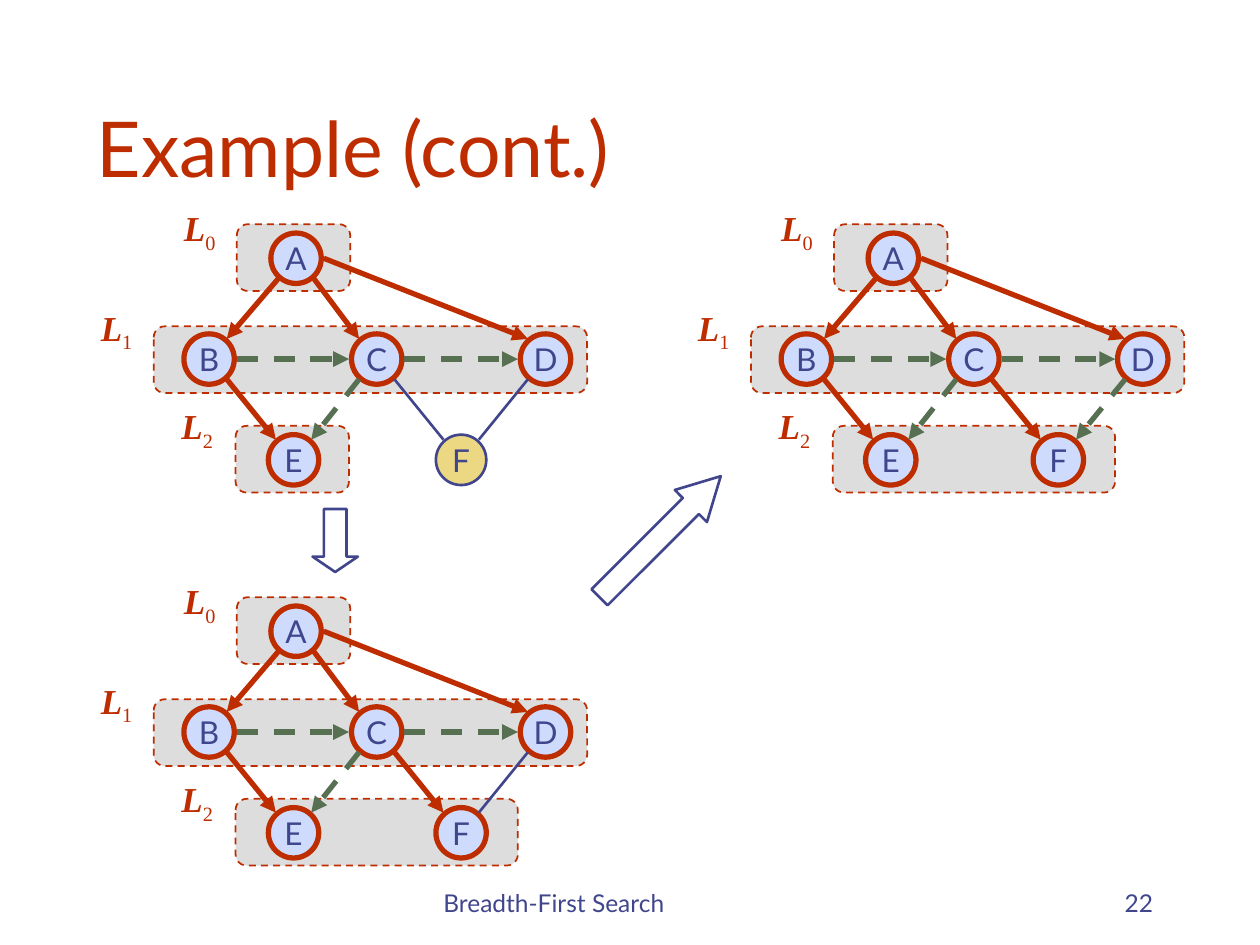
"""Build the slide showing the last steps of a breadth-first search."""
from dataclasses import dataclass

from pptx import Presentation
from pptx import util as u
from pptx.dml.color import RGBColor
from pptx.enum import dml, shapes, text
from pptx.oxml import ns, xmlchemy


@dataclass(frozen=True)
class Theme:
    red: str = "BE2D00"
    green: str = "577052"
    navy: str = "40458C"
    visited: str = "CFDBFD"
    unvisited: str = "ECD882"
    level: str = "DDDDDD"
    font: str = "Lato"
    math_font: str = "Times New Roman"
    title_size: int = 44
    label_size: int = 20
    node_size: int = 18
    footer_size: int = 14
    thick: float = 3
    medium: float = 1.5
    thin: float = 1


THEME = Theme()
NODE_SIZE = 0.4
NODES = {"A": (2.35, 2.05), "B": (1.66, 2.85), "C": (2.99, 2.85),
         "D": (4.33, 2.85), "E": (2.33, 3.65), "F": (3.66, 3.65)}
LEVELS = [(1.88, 1.78, 0.9), (1.22, 2.59, 3.44), (1.87, 3.38, None)]
LEVEL_HEIGHT = 0.53
LABELS = [(1.33, 1.59), (0.67, 2.38), (1.31, 3.16)]
COMMON_EDGES = {"AB": "tree", "AC": "tree", "AD": "tree", "BE": "tree",
                "BC": "cross", "CD": "cross", "CE": "cross"}
STEPS = [
    dict(dx=0, dy=0, last_width=0.9, edges={"CF": "open", "DF": "open"}),
    dict(dx=0, dy=2.96, last_width=2.24, edges={"CF": "tree", "DF": "open"}),
    dict(dx=4.74, dy=0, last_width=2.24, edges={"CF": "tree", "DF": "cross"}),
]


def add_text(paragraph, content, *, size, color, font=THEME.font,
             bold=False, italic=False, baseline=None):
    run = paragraph.add_run()
    run.text = content
    run.font.name = font
    run.font.size = u.Pt(size)
    run.font.bold = bold
    run.font.italic = italic
    run.font.color.rgb = RGBColor.from_string(color)
    if baseline is not None:
        run.font._element.set("baseline", str(baseline * 1000))


def sign(value):
    return (value > 0) - (value < 0)


def rim_point(node, other):
    (x, y), (other_x, other_y) = NODES[node], NODES[other]
    side_x, side_y = sign(other_x - x), sign(other_y - y)
    if side_y == 0 or (node, other) == ("A", "D"):
        return x + side_x * 0.22, y
    return x + side_x * 0.14, y + side_y * 0.16


class SlideBuilder:
    def __init__(self, slide, theme):
        self.slide = slide
        self.theme = theme

    def outline(self, line, color, width, dashed=False):
        line.color.rgb = RGBColor.from_string(color)
        line.width = u.Pt(width)
        if dashed:
            line.dash_style = dml.MSO_LINE.DASH

    def shape(self, kind, box, color, width, fill=None, dashed=False):
        shape = self.slide.shapes.add_shape(kind, *map(u.Inches, box))
        shape.shadow.inherit = False
        if fill:
            shape.fill.solid()
            shape.fill.fore_color.rgb = RGBColor.from_string(fill)
        else:
            shape.fill.background()
        self.outline(shape.line, color, width, dashed)
        return shape

    def textbox(self, box, anchor=text.MSO_ANCHOR.TOP, align=text.PP_ALIGN.LEFT):
        frame = self.slide.shapes.add_textbox(*map(u.Inches, box)).text_frame
        frame.word_wrap = True
        frame.vertical_anchor = anchor
        frame.paragraphs[0].alignment = align
        return frame.paragraphs[0]

    def line_of_text(self, content, box, size, color, align=text.PP_ALIGN.LEFT):
        paragraph = self.textbox(box, text.MSO_ANCHOR.BOTTOM, align)
        add_text(paragraph, content, size=size, color=color)

    def level(self, left, top, width):
        self.shape(shapes.MSO_SHAPE.ROUNDED_RECTANGLE,
                   (left, top, width, LEVEL_HEIGHT), self.theme.red,
                   self.theme.thin, self.theme.level, dashed=True)

    def level_label(self, index, left, top):
        theme = self.theme
        paragraph = self.textbox((left, top, 0.51, 0.43),
                                 align=text.PP_ALIGN.CENTER)
        style = dict(size=theme.label_size, color=theme.red, font=theme.math_font)
        add_text(paragraph, "L", bold=True, italic=True, **style)
        add_text(paragraph, str(index), baseline=-25, **style)

    def node(self, name, x, y, visited):
        theme = self.theme
        color, width, fill = ((theme.red, theme.thick, theme.visited) if visited
                              else (theme.navy, theme.medium, theme.unvisited))
        box = (x - NODE_SIZE / 2, y - NODE_SIZE / 2, NODE_SIZE, NODE_SIZE)
        shape = self.shape(shapes.MSO_SHAPE.OVAL, box, color, width, fill)
        frame = shape.text_frame
        frame.word_wrap = False
        frame.vertical_anchor = text.MSO_ANCHOR.MIDDLE
        frame.paragraphs[0].alignment = text.PP_ALIGN.CENTER
        add_text(frame.paragraphs[0], name, size=theme.node_size, color=theme.navy)

    def edge(self, start, end, kind):
        theme = self.theme
        color, width = {"tree": (theme.red, theme.thick),
                        "cross": (theme.green, theme.thick),
                        "open": (theme.navy, theme.medium)}[kind]
        connector = self.slide.shapes.add_connector(
            shapes.MSO_CONNECTOR.STRAIGHT, *map(u.Inches, start + end))
        self.outline(connector.line, color, width, kind == "cross")
        properties = connector._element.spPr
        if kind != "open":
            head = xmlchemy.OxmlElement("a:tailEnd")
            head.set("type", "triangle")
            properties.find(ns.qn("a:ln")).append(head)
        properties.append(xmlchemy.OxmlElement("a:effectLst"))

    def block_arrow(self, box, rotation, head_length):
        arrow = self.shape(shapes.MSO_SHAPE.RIGHT_ARROW, box,
                           self.theme.navy, self.theme.medium)
        arrow.rotation = rotation
        arrow.adjustments[1] = head_length

    def search_step(self, dx, dy, last_width, edges):
        for left, top, width in LEVELS:
            self.level(left + dx, top + dy, width or last_width)
        for index, (left, top) in enumerate(LABELS):
            self.level_label(index, left + dx, top + dy)
        for name, (x, y) in NODES.items():
            self.node(name, x + dx, y + dy, name != "F" or edges["CF"] == "tree")
        for (source, target), kind in {**COMMON_EDGES, **edges}.items():
            start, end = [(x + dx, y + dy) for x, y in
                          (rim_point(source, target), rim_point(target, source))]
            self.edge(start, end, kind)


def main():
    presentation = Presentation()
    presentation.slide_width = u.Inches(10)
    presentation.slide_height = u.Inches(7.5)
    slide = presentation.slides.add_slide(presentation.slide_layouts[6])
    builder = SlideBuilder(slide, THEME)
    builder.line_of_text("Breadth-First Search", (3.42, 6.83, 3.17, 0.5),
                         THEME.footer_size, THEME.navy)
    builder.line_of_text("22", (7.17, 6.83, 2.08, 0.5), THEME.footer_size,
                         THEME.navy, text.PP_ALIGN.RIGHT)
    builder.line_of_text("Example (cont.)", (0.67, 0.33, 8.5, 1.25),
                         THEME.title_size, THEME.red)
    for step in STEPS:
        builder.search_step(**step)
    builder.block_arrow((4.56, 4.08, 1.36, 0.36), 315, 0.93)
    builder.block_arrow((2.41, 4.11, 0.5, 0.36), 90, 0.34)
    presentation.save("out.pptx")


if __name__ == "__main__":
    main()
